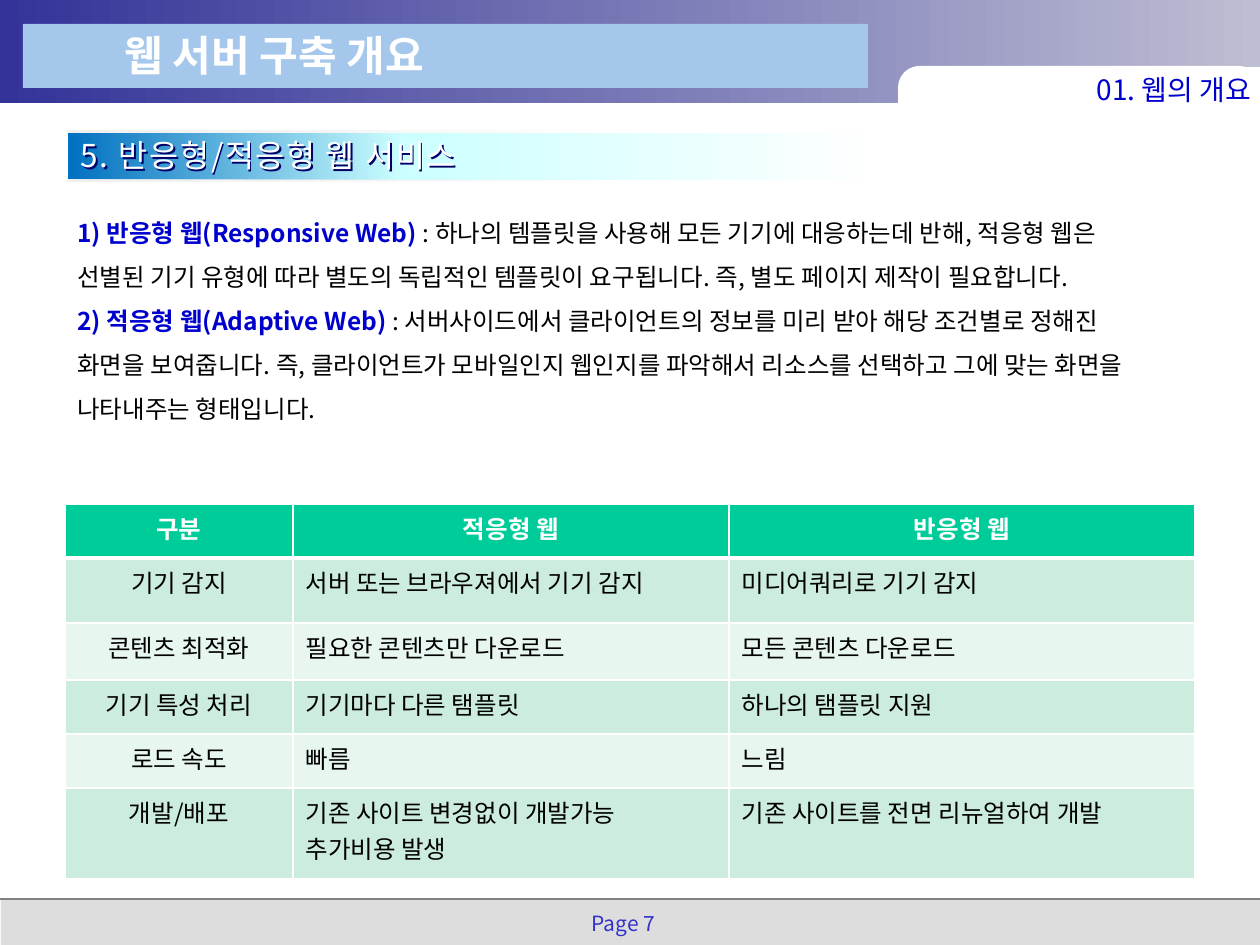
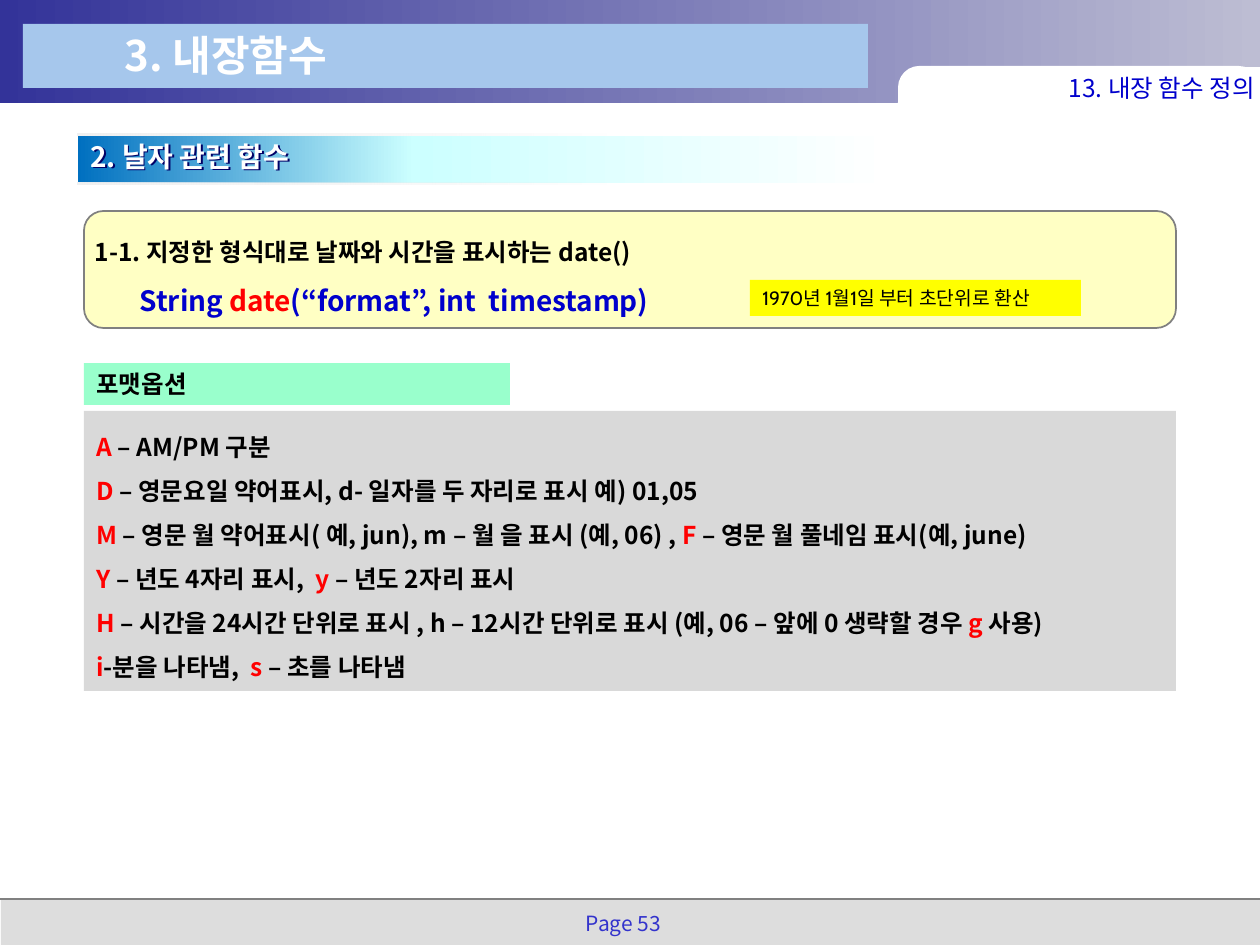
from lxml import etree
from pptx import Presentation
from pptx.dml.color import RGBColor
from pptx.enum import shapes, text
from pptx.oxml import parse_xml
from pptx.oxml.ns import nsdecls, qn
from pptx.util import Emu, Pt

PX = 914400 / 126
FONT = "Noto Sans CJK KR"
WHITE = RGBColor(0xFF, 0xFF, 0xFF)
BLACK = RGBColor(0, 0, 0)
BLUE = RGBColor(0, 0, 0xCC)
RED = RGBColor(0xFF, 0, 0)
GRAY = RGBColor(0x80, 0x80, 0x80)
FOOTER_GRAY = RGBColor(0xDD, 0xDD, 0xDD)
FOOTER_BLUE = RGBColor(0x33, 0x33, 0xCC)
TITLE_BLUE = RGBColor(0xA6, 0xC7, 0xEC)
PALE_YELLOW = RGBColor(0xFF, 0xFF, 0xC4)
YELLOW = RGBColor(0xFF, 0xFF, 0)
MINT = RGBColor(0x99, 0xFF, 0xCC)
PANEL_GRAY = RGBColor(0xD9, 0xD9, 0xD9)
TABLE_GREEN = RGBColor(0, 0xCC, 0x99)
ROW_GREENS = [RGBColor(0xE7, 0xF6, 0xEF), RGBColor(0xCC, 0xEC, 0xDE)]
# Gradient stops: position, colour, opacity in percent
BAND_GRADIENT = [(0, "333399", 100), (100, "BDBDD3", 100)]
HEADING_GRADIENT = [(0, "0070C0", 100), (40, "CCFFFF", 100), (97, "FFFFFF", 100)]
RULE_GRADIENT = [(0, "F0F0F0", 100), (100, "EAEAEA", 0)]
LEFT, CENTER, RIGHT = text.PP_ALIGN.LEFT, text.PP_ALIGN.CENTER, text.PP_ALIGN.RIGHT
RECTANGLE = shapes.MSO_SHAPE.RECTANGLE
ROUNDED = shapes.MSO_SHAPE.ROUNDED_RECTANGLE


def draw_box(slide, box, fill=None, kind=RECTANGLE, line=None):
    """Add a shape, or a text box when there is no fill; box is in px."""
    place = [Emu(round(value * PX)) for value in box]
    if fill is None:
        return slide.shapes.add_textbox(*place)
    shape = slide.shapes.add_shape(kind, *place)
    shape.shadow.inherit = False
    if isinstance(fill, list):
        stops = "".join(
            f'<a:gs pos="{position * 1000}"><a:srgbClr val="{color}">'
            f'<a:alpha val="{opacity * 1000}"/></a:srgbClr></a:gs>'
            for position, color, opacity in fill)
        shape._element.spPr.find(qn("a:prstGeom")).addnext(parse_xml(
            f'<a:gradFill {nsdecls("a")} rotWithShape="1"><a:gsLst>{stops}</a:gsLst>'
            '<a:lin ang="0" scaled="0"/></a:gradFill>'))
    else:
        shape.fill.solid()
        shape.fill.fore_color.rgb = fill
    if line is None:
        shape.line.fill.background()
    else:
        shape.line.color.rgb = line
        shape.line.width = Pt(1)
    return shape


def write_text(frame, paragraphs, size=14, color=BLACK, bold=False, align=LEFT, spacing=1.0,
               font=FONT, anchor=text.MSO_ANCHOR.TOP, inset=None, tracking=0):
    """Fill a text frame; a paragraph is a string or a list of (text, own format) runs."""
    frame.word_wrap = True
    frame.auto_size = text.MSO_AUTO_SIZE.NONE
    frame.vertical_anchor = anchor
    if inset is not None:
        frame.margin_left = frame.margin_right = Emu(round(inset * PX))
        frame.margin_top = frame.margin_bottom = Emu(round(inset * PX))
    for index, runs in enumerate(paragraphs):
        paragraph = frame.add_paragraph() if index else frame.paragraphs[0]
        paragraph.alignment = align
        paragraph.line_spacing = spacing
        for words, own in [(runs, {})] if isinstance(runs, str) else runs:
            run = paragraph.add_run()
            run.text = words
            run.font.size = Pt(own.get("size", size))
            run.font.bold = own.get("bold", bold)
            run.font.color.rgb = own.get("color", color)
            run.font.name = font
            properties = run._r.get_or_add_rPr()
            etree.SubElement(properties, qn("a:ea")).set("typeface", FONT)
            if tracking:
                properties.set("spc", str(tracking * 100))


presentation = Presentation()
presentation.slide_width = Emu(round(1260 * PX))
presentation.slide_height = Emu(round(945 * PX))
layout = presentation.slide_layouts[5]
web_slide = presentation.slides.add_slide(layout)
date_slide = presentation.slides.add_slide(layout)

# Shared bands, moved from the first slide to the layout
bands = [
    draw_box(web_slide, (1, 900, 1259, 49), FOOTER_GRAY),
    draw_box(web_slide, (0, 0, 1260, 103), BAND_GRADIENT),
]
footer_line = web_slide.shapes.add_connector(
    shapes.MSO_CONNECTOR.STRAIGHT, 0, Emu(round(899 * PX)),
    presentation.slide_width, Emu(round(899 * PX)))
footer_line.line.color.rgb = GRAY
footer_line.line.width = Pt(1)
etree.SubElement(footer_line._element.spPr, qn("a:effectLst"))
corner_tab = draw_box(web_slide, (898, 66, 362, 74), WHITE, ROUNDED)
corner_tab.adjustments[0] = 0.29
bands += [
    footer_line,
    corner_tab,
    draw_box(web_slide, (1147, 67, 113, 30), WHITE),
    draw_box(web_slide, (23, 24, 845, 64), TITLE_BLUE),
]
for number, band in enumerate(bands, start=100):
    band._element.xpath(".//p:cNvPr")[0].set("id", str(number))
    layout.shapes._spTree.append(band._element)

# Title, page number, chapter and heading of each slide
pages = [
    dict(slide=web_slide, title="웹 서버 구축 개요", page="Page 7",
         chapter="01. 웹의 개요", chapter_box=(916, 67, 340, 44), chapter_size=16,
         heading="5. 반응형/적응형 웹 서비스", corner=(68, 133), text_top=130,
         heading_format=dict(size=18, tracking=1)),
    dict(slide=date_slide, title="3. 내장함수", page="Page 53",
         chapter="13. 내장 함수 정의", chapter_box=(920, 68, 340, 40), chapter_size=14,
         heading="2. 날자 관련 함수", corner=(78, 136), text_top=133,
         heading_format=dict(size=16, bold=True)),
]
for page in pages:
    slide = page["slide"]
    title = slide.shapes.title
    title.left, title.top, title.width, title.height = [
        Emu(round(value * PX)) for value in (112, 23, 626, 63)]
    write_text(title.text_frame, [page["title"]], size=24, color=WHITE, bold=True)
    footer = draw_box(slide, (567, 907, 113, 35))
    write_text(footer.text_frame, [page["page"]], size=12, color=FOOTER_BLUE,
               align=CENTER, spacing=0.9)
    chapter = draw_box(slide, page["chapter_box"])
    write_text(chapter.text_frame, [page["chapter"]], size=page["chapter_size"], color=BLUE,
               align=RIGHT, anchor=text.MSO_ANCHOR.MIDDLE, inset=5)

    left, top = page["corner"]
    draw_box(slide, (left, top, 840, 47), HEADING_GRADIENT)
    for rule_top in (top - 2, top + 47):
        draw_box(slide, (left, rule_top, 530, 2), RULE_GRADIENT)
    heading = draw_box(slide, (left, page["text_top"], 844, 50))
    write_text(heading.text_frame, [page["heading"]], color=WHITE, **page["heading_format"])
    heading._element.spPr.append(parse_xml(
        f'<a:effectLst {nsdecls("a")}><a:outerShdw dist="18000" dir="2700000">'
        '<a:srgbClr val="000066"/></a:outerShdw></a:effectLst>'))

# Web slide: the two definitions
term = dict(color=BLUE, bold=True)
definitions = draw_box(web_slide, (65, 197, 1091, 280))
write_text(definitions.text_frame, [
    [("1) 반응형 웹(Responsive Web) ", term),
     (": 하나의 템플릿을 사용해 모든 기기에 대응하는데 반해, 적응형 웹은 선별된 기기 유형에 따라 "
      "별도의 독립적인 템플릿이 요구됩니다. 즉, 별도 페이지 제작이 필요합니다.", {})],
    [("2) 적응형 웹(Adaptive Web) ", term),
     (": 서버사이드에서 클라이언트의 정보를 미리 받아 해당 조건별로 정해진 화면을 보여줍니다. 즉, "
      "클라이언트가 모바일인지 웹인지를 파악해서 리소스를 선택하고 그에 맞는 화면을 나타내주는 "
      "형태입니다.", {})],
], spacing=1.5)

# Web slide: comparison table
rows = [
    ["구분", "적응형 웹", "반응형 웹"],
    ["기기 감지", "서버 또는 브라우져에서 기기 감지", "미디어쿼리로 기기 감지"],
    ["콘텐츠 최적화", "필요한 콘텐츠만 다운로드", "모든 콘텐츠 다운로드"],
    ["기기 특성 처리", "기기마다 다른 탬플릿", "하나의 탬플릿 지원"],
    ["로드 속도", "빠름", "느림"],
    ["개발/배포", "기존 사이트 변경없이 개발가능\n추가비용 발생", "기존 사이트를 전면 리뉴얼하여 개발"],
]
column_widths = [228, 436, 466]
row_heights = [54, 65, 57, 54, 54, 91]
table = web_slide.shapes.add_table(
    len(rows), len(column_widths), Emu(round(65 * PX)), Emu(round(504 * PX)),
    Emu(round(sum(column_widths) * PX)), Emu(round(sum(row_heights) * PX))).table
for column, width in zip(table.columns, column_widths):
    column.width = Emu(round(width * PX))
for row_index, (row, height) in enumerate(zip(rows, row_heights)):
    table.rows[row_index].height = Emu(round(height * PX))
    header = row_index == 0
    for column_index, words in enumerate(row):
        cell = table.cell(row_index, column_index)
        write_text(cell.text_frame, words.split("\n"), color=WHITE if header else BLACK,
                   bold=header, align=CENTER if header or column_index == 0 else LEFT)
        thick_side = {0: "lnB", 1: "lnT"}.get(row_index)
        for side in ("lnL", "lnR", "lnT", "lnB"):
            width = Pt(3 if side == thick_side else 1)
            cell._tc.get_or_add_tcPr().append(parse_xml(
                f'<a:{side} {nsdecls("a")} w="{width}"><a:solidFill>'
                f'<a:srgbClr val="{WHITE}"/></a:solidFill></a:{side}>'))
        cell.fill.solid()
        cell.fill.fore_color.rgb = TABLE_GREEN if header else ROW_GREENS[row_index % 2]

# Date slide: function signature
red = dict(color=RED)
signature_format = dict(color=BLUE, size=16)
signature = draw_box(date_slide, (84, 211, 1092, 117), PALE_YELLOW, ROUNDED, GRAY)
write_text(signature.text_frame, [
    "1-1. 지정한 형식대로 날짜와 시간을 표시하는 date()",
    [("String ", signature_format), ("date", dict(color=RED, size=16)),
     ("(“format”, int  timestamp)", signature_format)],
], bold=True, spacing=1.5, anchor=text.MSO_ANCHOR.MIDDLE, inset=5)
signature.text_frame.paragraphs[1]._p.get_or_add_pPr().set("marL", str(round(45 * PX)))
note = draw_box(date_slide, (750, 280, 331, 36), YELLOW)
write_text(note.text_frame, ["1970년 1월1일 부터 초단위로 환산"], size=11, font="Cabin")

# Date slide: format options
label = draw_box(date_slide, (84, 363, 426, 42), MINT)
write_text(label.text_frame, ["포맷옵션"], bold=True)
options = draw_box(date_slide, (84, 411, 1092, 280), PANEL_GRAY)
write_text(options.text_frame, [
    [("A ", red), ("– AM/PM 구분", {})],
    [("D", red), (" – 영문요일 약어표시, d- 일자를 두 자리로 표시 예) 01,05", {})],
    [("M", red), (" – 영문 월 약어표시( 예, jun), m – 월 을 표시 (예, 06) , ", {}),
     ("F", red), (" – 영문 월 풀네임 표시(예, june)", {})],
    [("Y", red), (" – 년도 4자리 표시,  ", {}), ("y ", red), ("– 년도 2자리 표시", {})],
    [("H", red),
     (" – 시간을 24시간 단위로 표시 , h – 12시간 단위로 표시 (예, 06 – 앞에 0 생략할 경우 ", {}),
     ("g ", red), ("사용)", {})],
    [("i", red), ("-분을 나타냄,  ", {}), ("s ", red), ("– 초를 나타냄", {})],
], bold=True, spacing=1.5)

presentation.save("out.pptx")
